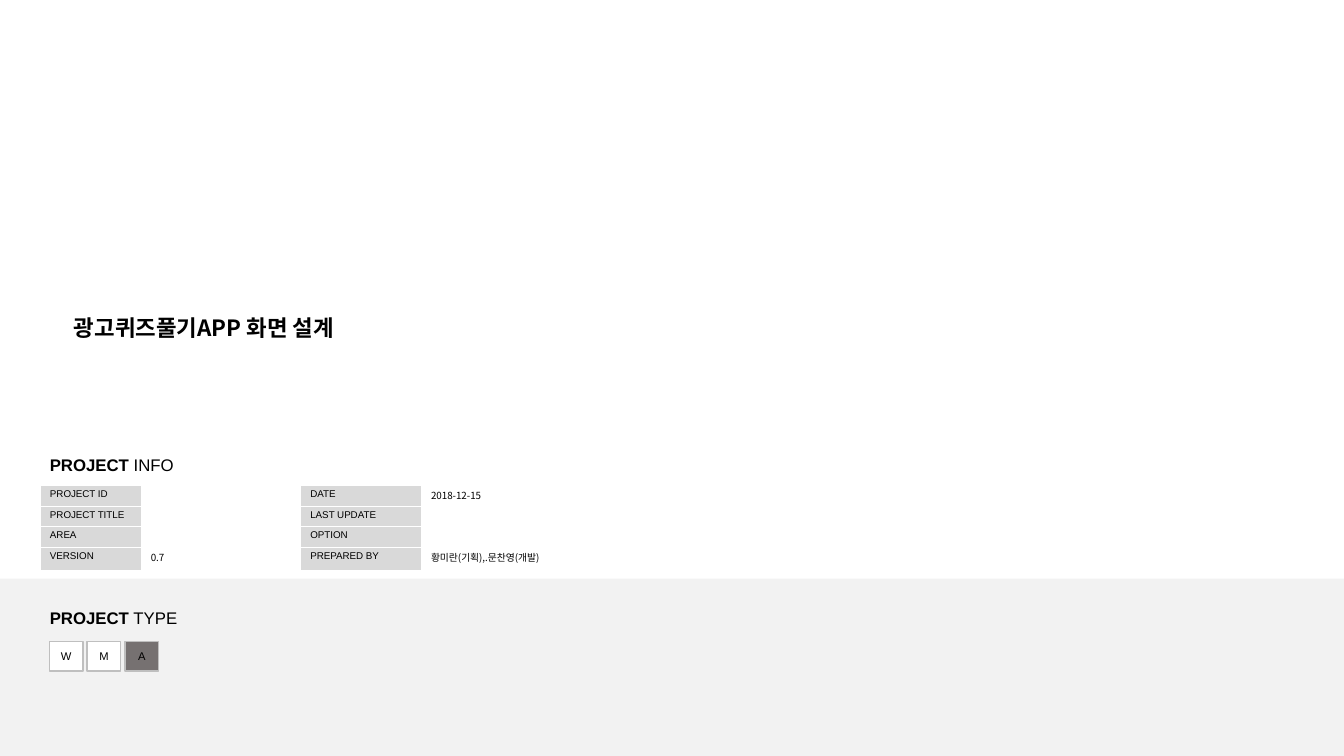
from dataclasses import dataclass

from lxml import etree
from pptx import Presentation
from pptx import util as u
from pptx.dml.color import RGBColor
from pptx.enum import shapes, text
from pptx.oxml import ns

PX = 9525  # EMU in one px: the slide is 1280 x 720 px


@dataclass(frozen=True)
class Theme:
    ink: str = "000000"
    paper: str = "FFFFFF"
    band: str = "F2F2F2"
    label: str = "D9D9D9"
    edge: str = "BFBFBF"
    selected: str = "767171"
    latin: str = "Arial"
    korean: str = "Noto Sans CJK KR"
    title: int = 16
    heading: int = 12
    badge: int = 8
    cell: int = 7


class Cover:
    def __init__(self, slide, theme):
        self.slide, self.theme = slide, theme

    def add_words(self, paragraph, words, size, font, bold=False):
        run = paragraph.add_run()
        run.text = words
        for key, value in {"size": u.Pt(size), "name": font, "bold": bold}.items():
            setattr(run.font, key, value)
        run.font.color.rgb = RGBColor.from_string(self.theme.ink)
        east_asian = etree.SubElement(run.font._element, ns.qn("a:ea"))
        east_asian.set("typeface", font)

    def textbox(self, box, runs, size, font):
        frame = self.slide.shapes.add_textbox(*(n * PX for n in box)).text_frame
        frame.word_wrap = True
        for words, bold in runs:
            self.add_words(frame.paragraphs[0], words, size, font, bold)

    def heading(self, top, topic):
        runs = [("PROJECT", True), (f" {topic}", False)]
        self.textbox((38, top, 218, 29), runs, self.theme.heading, self.theme.latin)

    def rectangle(self, box, fill, edge=None, words=""):
        rect = self.slide.shapes.add_shape(
            shapes.MSO_SHAPE.RECTANGLE, *(n * PX for n in box))
        rect.shadow.inherit = False
        rect.fill.solid()
        rect.fill.fore_color.rgb = RGBColor.from_string(fill)
        if edge:
            rect.line.color.rgb = RGBColor.from_string(edge)
            rect.line.width = u.Pt(1)
        else:
            rect.line.fill.background()
        if words:
            rect.text_frame.vertical_anchor = text.MSO_ANCHOR.MIDDLE
            line = rect.text_frame.paragraphs[0]
            line.alignment = text.PP_ALIGN.CENTER
            self.add_words(line, words, self.theme.badge, self.theme.latin)

    def table(self, left, top, widths, heights, rows):
        table = self.slide.shapes.add_table(
            len(rows), len(widths), left * PX, top * PX,
            sum(widths) * PX, sum(heights) * PX).table
        table.first_row = table.horz_banding = False
        for column, width in zip(table.columns, widths):
            column.width = width * PX
        for row, height, entries in zip(table.rows, heights, rows):
            row.height = height * PX
            for number, (cell, words) in enumerate(zip(row.cells, entries)):
                self.cell(cell, words, is_label=number % 2 == 0)

    def cell(self, cell, words, is_label):
        theme = self.theme
        cell.margin_top = cell.margin_bottom = 3 * PX
        # Borders come before the fill in the cell properties
        properties = cell._tc.get_or_add_tcPr()
        for side in ("lnL", "lnR", "lnT", "lnB"):
            border = etree.SubElement(properties, ns.qn(f"a:{side}"), w=str(u.Pt(0.25)))
            solid = etree.SubElement(border, ns.qn("a:solidFill"))
            etree.SubElement(solid, ns.qn("a:srgbClr"), val=theme.paper)
        if is_label:
            cell.fill.solid()
            cell.fill.fore_color.rgb = RGBColor.from_string(theme.label)
        else:
            cell.fill.background()
        line = cell.text_frame.paragraphs[0]
        if words:
            font = theme.latin if is_label else theme.korean
            self.add_words(line, words, theme.cell, font)
        else:
            # An empty cell keeps the small type so that its row stays low
            etree.SubElement(line._p, ns.qn("a:endParaRPr"), sz=str(theme.cell * 100))


def main():
    deck = Presentation()
    deck.slide_width, deck.slide_height = 1280 * PX, 720 * PX
    theme = Theme()
    cover = Cover(deck.slides.add_slide(deck.slide_layouts[6]), theme)

    # Project type: band, heading and platform badges
    cover.rectangle((0, 551, 1280, 169), theme.band)
    cover.heading(574, "TYPE")
    for place, platform in enumerate("WMA"):
        fill = theme.selected if platform == "A" else theme.paper
        cover.rectangle((47 + 36 * place, 611, 32, 28), fill, theme.edge, platform)

    # Project info: labels and their values
    cover.table(38, 462, [96, 152, 115, 170], [20, 19, 20, 22], [
        ("PROJECT ID", "", "DATE", "2018-12-15"),
        ("PROJECT TITLE", "", "LAST UPDATE", ""),
        ("AREA", "", "OPTION", ""),
        ("VERSION", "0.7", "PREPARED BY", "황미란(기획),.문찬영(개발)"),
    ])
    cover.heading(428, "INFO")

    # Title
    cover.textbox((61, 294, 614, 69), [("광고퀴즈풀기APP 화면 설계", True)],
                  theme.title, theme.korean)

    deck.save("out.pptx")


if __name__ == "__main__":
    main()
